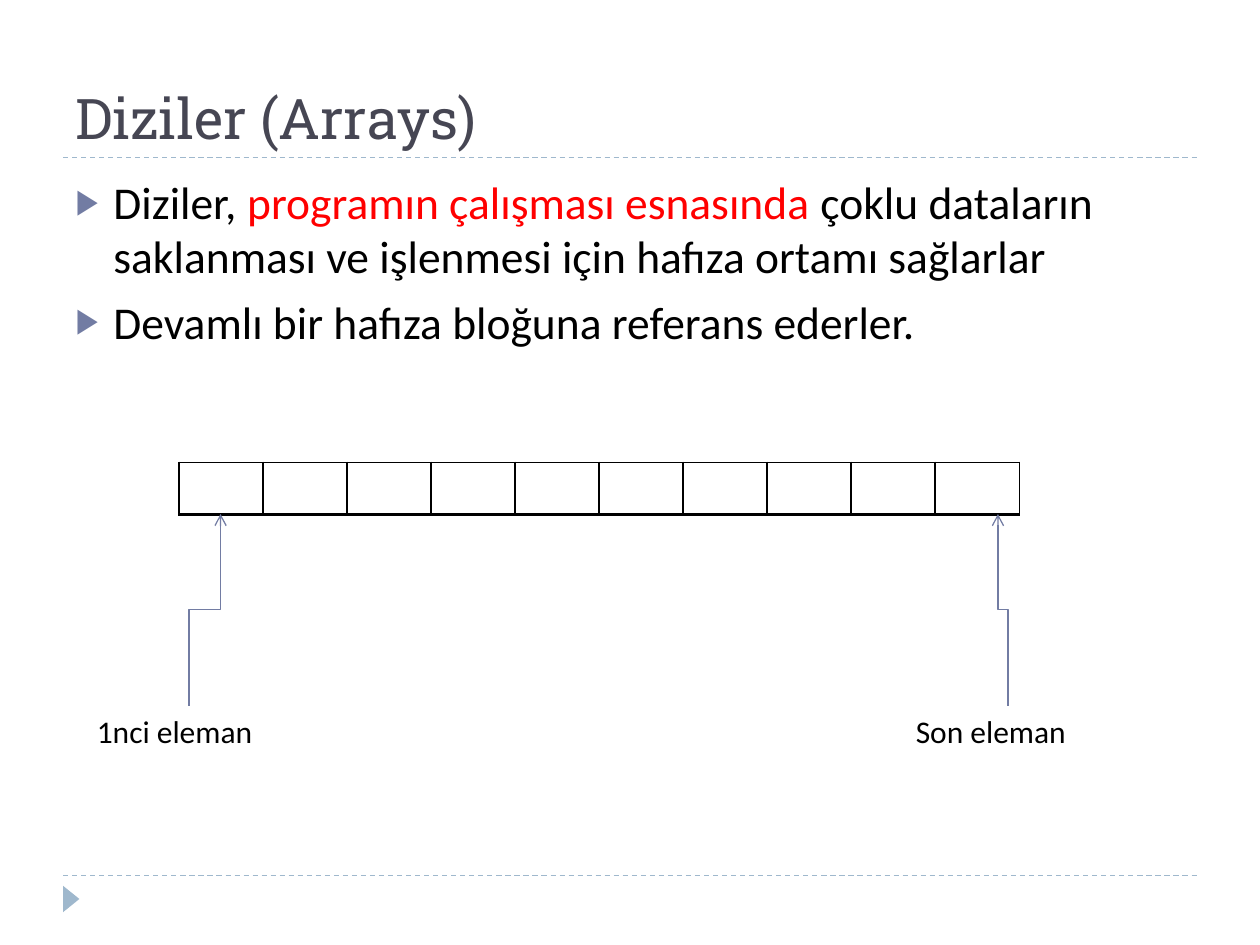
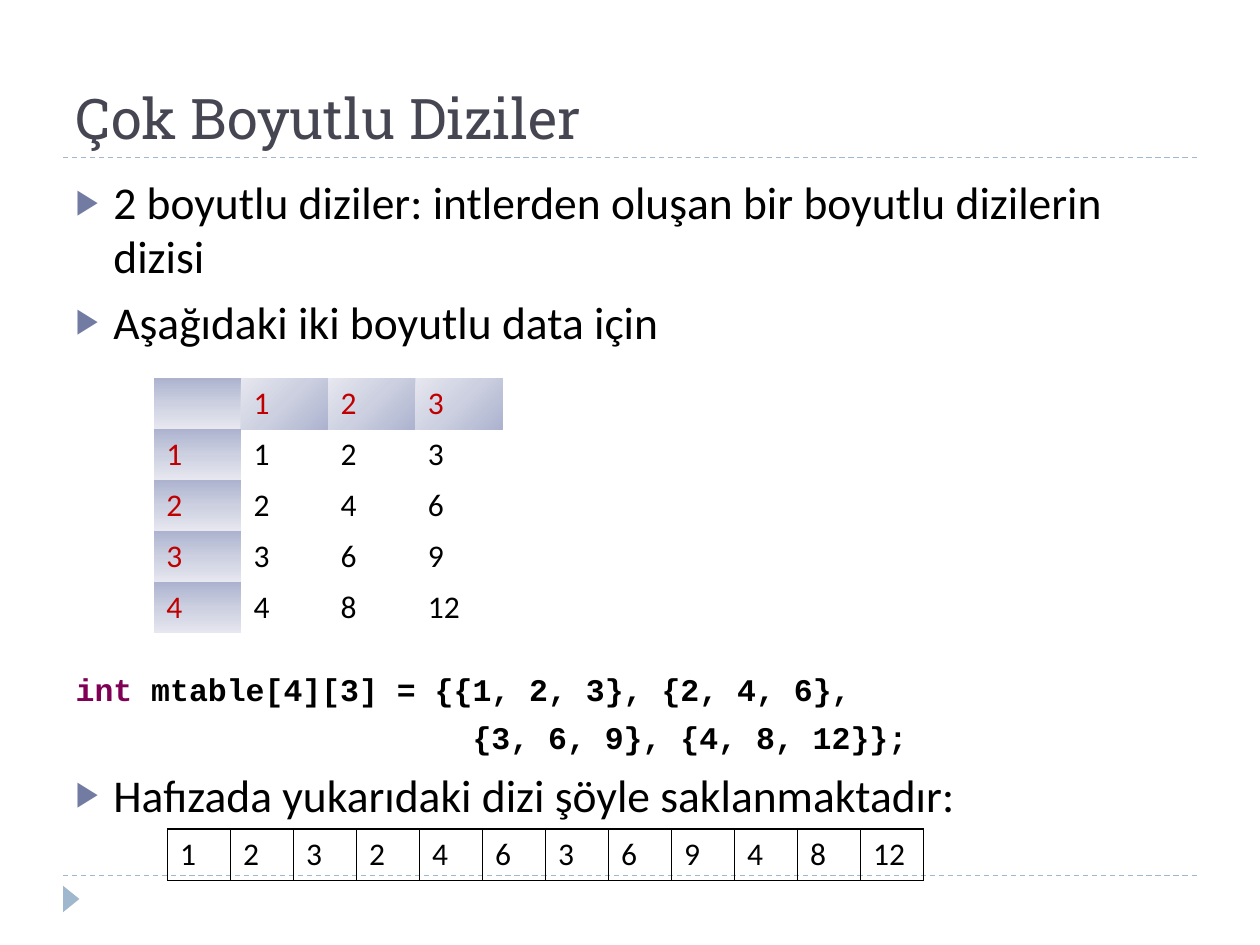
import dataclasses
import pptx
import pptx.dml.color
import pptx.enum.dml
import pptx.enum.shapes
import pptx.enum.text
import pptx.oxml
import pptx.oxml.ns
import pptx.util

Inches = pptx.util.Inches
Pt = pptx.util.Pt
qn = pptx.oxml.ns.qn


@dataclasses.dataclass(frozen=True)
class Theme:
    title_font: str = "Roboto Slab"
    body_font: str = "Calibri"
    code_font: str = "Courier New"
    title_size: int = 32
    body_size: int = 26
    small_size: int = 18
    title: str = "464653"
    text: str = "000000"
    band: str = "9FB8CD"
    accent: str = "727CA3"
    highlight: str = "FF0000"
    keyword: str = "7F0055"
    header: str = "C00000"
    header_stops: tuple = ((0, "ADB3CF"), (50, "CCD0E0"), (100, "E6E7EF"))


THEME = Theme()
NO_GRID_STYLE = "{2D5ABB26-0587-4C30-8999-92F81FD0307C}"
LINEAR = '<a:lin ang="5400000" scaled="0"/>'
FROM_CORNER = '<a:path path="circle"><a:fillToRect l="100000" t="100000"/></a:path>'


# ---- Helpers ----
def rgb(value):
    return pptx.dml.color.RGBColor.from_string(value)


def element(tag, inner="", **attributes):
    listed = "".join(f' {name}="{value}"' for name, value in attributes.items())
    namespace = pptx.oxml.ns.nsdecls("a")
    return pptx.oxml.parse_xml(f"<a:{tag} {namespace}{listed}>{inner}</a:{tag}>")


def color_xml(value):
    return f'<a:srgbClr val="{value}"/>'


def format_span(span, size, color=THEME.text, font=THEME.body_font, bold=False):
    span.font.size = Pt(size)
    span.font.name = font
    span.font.bold = bold
    span.font.color.rgb = rgb(color)


def style_line(connector, color, dash=None, arrow=False):
    connector.line.color.rgb = rgb(color)
    connector.line.width = Pt(0.75)
    if dash:
        connector.line.dash_style = dash
    properties = connector._element.spPr
    if arrow:
        properties.find(qn("a:ln")).append(element("tailEnd", type="arrow"))
    properties.append(element("effectLst"))


# ---- Shared layout: placeholder places, dashed rules, corner marker ----
def set_up_layout(layout, page):
    places = {0: (0.5, 0.17, 9, 1.08), 1: (0.5, 1.33, 9, 5.4)}
    for index, place in places.items():
        box = next(item for item in layout.placeholders
                   if item.placeholder_format.idx == index)
        box.left, box.top, box.width, box.height = map(Inches, place)

    parts = []
    for top in (6.95, 1.25):
        rule = page.shapes.add_connector(
            pptx.enum.shapes.MSO_CONNECTOR.STRAIGHT,
            Inches(0.5), Inches(top), Inches(9.5), Inches(top))
        style_line(rule, THEME.band, dash=pptx.enum.dml.MSO_LINE.DASH)
        parts.append(rule)

    marker = page.shapes.add_shape(
        pptx.enum.shapes.MSO_SHAPE.ISOSCELES_TRIANGLE,
        Inches(0.46), Inches(7.07), Inches(0.21), Inches(0.13))
    marker.rotation = 90
    marker.shadow.inherit = False
    marker.fill.solid()
    marker.fill.fore_color.rgb = rgb(THEME.band)
    marker.line.fill.background()
    parts.append(marker)
    for part in parts:
        layout.shapes._spTree.append(part._element)


# ---- Text regions ----
def set_title(page, text):
    frame = page.shapes.title.text_frame
    frame.text = text
    frame.auto_size = pptx.enum.text.MSO_AUTO_SIZE.NONE
    frame.vertical_anchor = pptx.enum.text.MSO_ANCHOR.BOTTOM
    para = frame.paragraphs[0]
    para.alignment = pptx.enum.text.PP_ALIGN.LEFT
    format_span(para.runs[0], THEME.title_size, THEME.title, THEME.title_font)


def format_para(para, indent, hanging, before, marks):
    para.space_before = Pt(before)
    properties = para._p.get_or_add_pPr()
    properties.set("marL", str(Inches(indent)))
    properties.set("indent", str(Inches(hanging)))
    for mark in marks:
        properties.append(mark)


def bullet_para(para, spans):
    format_para(para, 0.3, -0.3, 6, [
        element("buClr", color_xml(THEME.accent)),
        element("buSzPct", val=76000),
        element("buChar", char="\u25b6")])
    for text, color in spans:
        span = para.add_run()
        span.text = text
        format_span(span, THEME.body_size, color)


def code_para(para, spans, indent=0, before=6):
    format_para(para, indent, 0, before, [element("buNone")])
    for text, color in spans:
        span = para.add_run()
        span.text = text
        format_span(span, THEME.small_size, color, THEME.code_font, True)


def body_paras(page):
    """Yield the paragraphs of the body placeholder, adding them as needed."""
    frame = page.placeholders[1].text_frame
    frame.auto_size = pptx.enum.text.MSO_AUTO_SIZE.NONE
    yield frame.paragraphs[0]
    while True:
        yield frame.add_paragraph()


def add_label(page, text, left, top, width, height):
    box = page.shapes.add_textbox(*map(Inches, (left, top, width, height)))
    box.text_frame.word_wrap = True
    box.text_frame.text = text
    format_span(box.text_frame.paragraphs[0].runs[0], THEME.small_size)


# ---- Tables ----
def add_plain_table(page, rows, columns, left, top, width, height):
    frame = page.shapes.add_table(rows, columns, *map(Inches, (left, top, width, height)))
    table = frame.table
    table.first_row = table.horz_banding = False
    table._tbl.tblPr.find(qn("a:tableStyleId")).text = NO_GRID_STYLE
    for column in table.columns:
        column.width = Inches(width / columns)
    for cell in table.iter_cells():
        cell.fill.background()
    return table


def set_cell(cell, text, color=THEME.text):
    cell.text = text
    for span in cell.text_frame.paragraphs[0].runs:
        format_span(span, THEME.small_size, color)


def set_borders(cell, bottom=1):
    fill = f"<a:solidFill>{color_xml(THEME.text)}</a:solidFill>"
    widths = {"lnL": 1, "lnR": 1, "lnT": 1, "lnB": bottom}
    for place, (tag, width) in enumerate(widths.items()):
        cell._tc.get_or_add_tcPr().insert(place, element(tag, fill, w=Pt(width)))


def add_memory_strip(page, values, left, top, width, height, bottom=1):
    table = add_plain_table(page, 1, len(values), left, top, width, height)
    for cell, value in zip(table.iter_cells(), values):
        set_cell(cell, value)
        set_borders(cell, bottom)


def shade_header(cell, direction):
    stops = "".join(f'<a:gs pos="{place * 1000}">{color_xml(color)}</a:gs>'
                    for place, color in THEME.header_stops)
    properties = cell._tc.get_or_add_tcPr()
    properties.remove(properties.find(qn("a:noFill")))
    properties.append(element("gradFill", f"<a:gsLst>{stops}</a:gsLst>{direction}",
                              rotWithShape=1))


def add_product_table(page, row_count, column_count, left, top, width, height):
    """Multiplication table with shaded header row and column."""
    table = add_plain_table(page, row_count + 1, column_count + 1,
                            left, top, width, height)
    for row in range(row_count + 1):
        for column in range(column_count + 1):
            cell = table.cell(row, column)
            cell.vertical_anchor = pptx.enum.text.MSO_ANCHOR.MIDDLE
            if row and column:
                set_cell(cell, str(row * column))
            else:
                set_cell(cell, str(row + column or ""), THEME.header)
                shade_header(cell, FROM_CORNER if column else LINEAR)


# ---- Bent arrow that leaves and arrives vertically, going up ----
def add_rising_arrow(page, start, end):
    run, rise = abs(end[0] - start[0]), start[1] - end[1]
    middle_x, middle_y = (start[0] + end[0]) / 2, (start[1] + end[1]) / 2
    left, right = middle_x - rise / 2, middle_x + rise / 2
    top, bottom = middle_y - run / 2, middle_y + run / 2
    rightward = end[0] > start[0]
    if rightward:
        left, right = right, left
    arrow = page.shapes.add_connector(
        pptx.enum.shapes.MSO_CONNECTOR.ELBOW,
        *map(Inches, (left, bottom, right, top)))
    turn = 90 if rightward else 270
    arrow._element.spPr.find(qn("a:xfrm")).set("rot", str(turn * 60000))
    style_line(arrow, THEME.accent, arrow=True)


# ---- Slides ----
def fill_arrays_page(page):
    set_title(page, "Diziler (Arrays)")
    paras = body_paras(page)
    bullet_para(next(paras), [
        ("Diziler, ", THEME.text),
        ("programın çalışması esnasında", THEME.highlight),
        (" çoklu dataların saklanması ve işlenmesi için hafıza ortamı sağlarlar",
         THEME.text)])
    bullet_para(next(paras), [
        ("Devamlı bir hafıza bloğuna referans ederler.", THEME.text)])

    add_memory_strip(page, [""] * 10, 1.42, 3.67, 6.67, 0.41, bottom=2)
    pointers = (("1nci eleman", 0.67, 1.5, 1.75), ("Son eleman", 7.17, 8, 7.92))
    for text, left, start, end in pointers:
        add_label(page, text, left, 5.6, 1.67, 0.4)
        add_rising_arrow(page, (start, 5.6), (end, 4.08))


def fill_matrix_page(page):
    set_title(page, "Çok Boyutlu Diziler")
    paras = body_paras(page)
    for text in ("2 boyutlu diziler: intlerden oluşan bir boyutlu dizilerin dizisi",
                 "Aşağıdaki iki boyutlu data için"):
        bullet_para(next(paras), [(text, THEME.text)])
    # The space before the code holds the table
    code_para(next(paras), [("int ", THEME.keyword),
                            ("mtable[4][3] = {{1, 2, 3}, {2, 4, 6},", THEME.text)],
              before=184)
    code_para(next(paras), [("{3, 6, 9}, {4, 8, 12}};", THEME.text)], indent=3.15)
    bullet_para(next(paras), [
        ("Hafızada yukarıdaki dizi şöyle saklanmaktadır:", THEME.text)])

    add_product_table(page, 4, 3, 1.22, 3, 2.77, 2)
    products = [str(row * column) for row in range(1, 5) for column in range(1, 4)]
    add_memory_strip(page, products, 1.33, 6.58, 6, 0.41)


deck = pptx.Presentation()
deck.slide_width, deck.slide_height = Inches(10), Inches(7.5)
content_layout = deck.slide_layouts[1]
pages = [deck.slides.add_slide(content_layout) for _ in range(2)]
set_up_layout(content_layout, pages[0])
fill_arrays_page(pages[0])
fill_matrix_page(pages[1])
deck.save("out.pptx")
